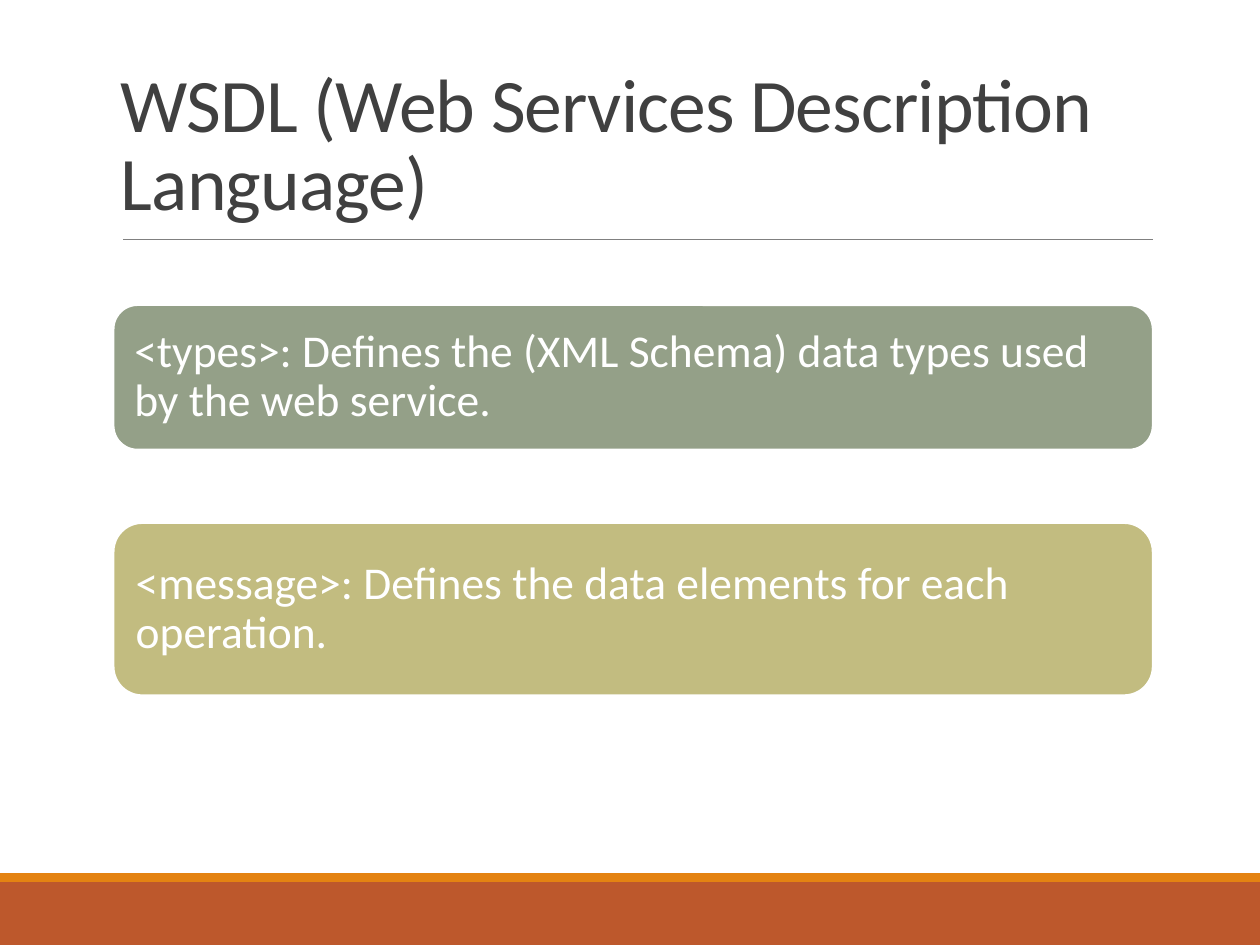
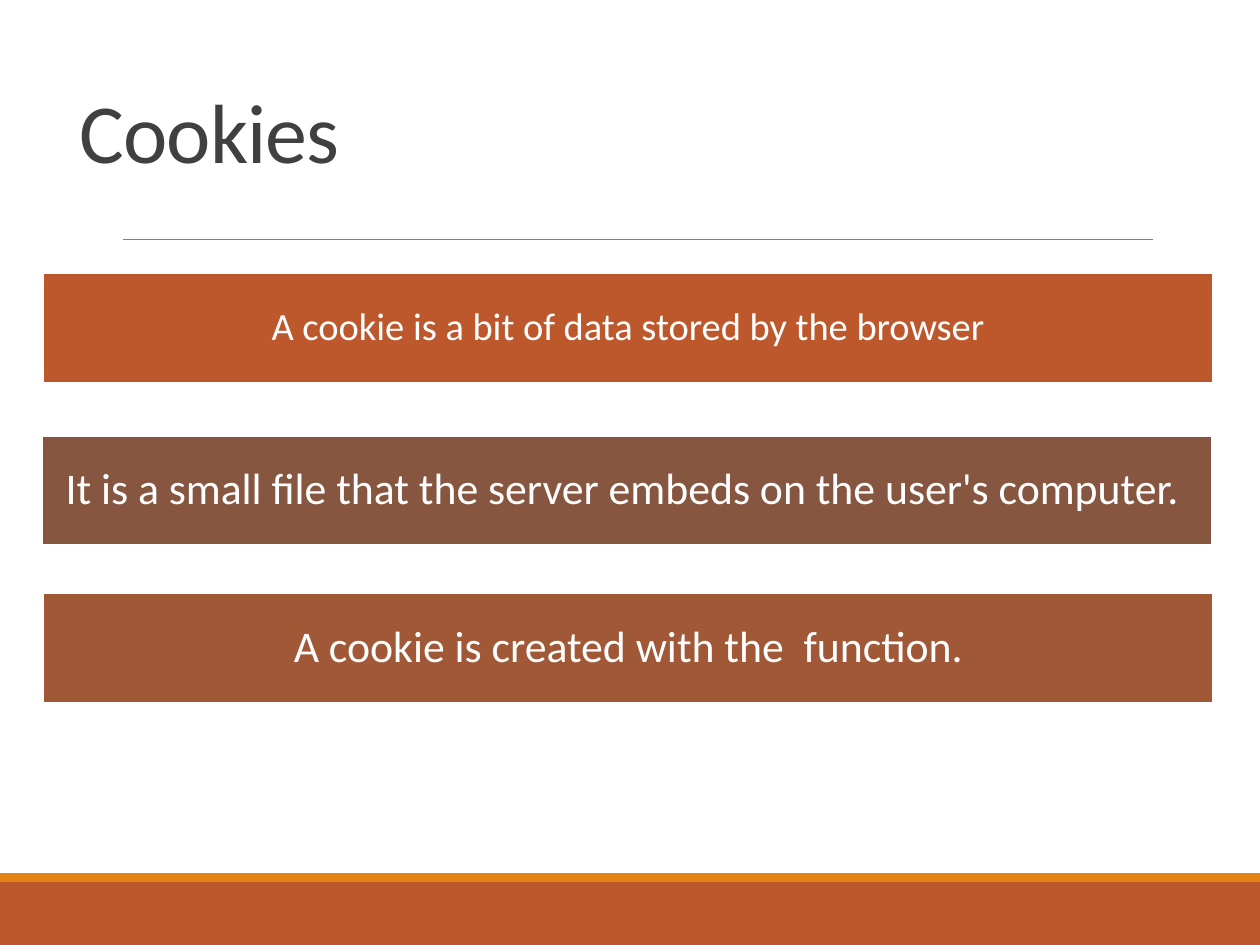
from dataclasses import dataclass

from lxml import etree
from pptx import Presentation
from pptx.dml.color import RGBColor
from pptx.enum.shapes import MSO_CONNECTOR, MSO_SHAPE
from pptx.enum.text import MSO_ANCHOR, MSO_AUTO_SIZE, PP_ALIGN
from pptx.oxml.ns import qn
from pptx.util import Inches, Pt

RECTANGLE, ROUNDED = MSO_SHAPE.RECTANGLE, MSO_SHAPE.ROUNDED_RECTANGLE
STRAIGHT = MSO_CONNECTOR.STRAIGHT
TOP, MIDDLE, BOTTOM = MSO_ANCHOR.TOP, MSO_ANCHOR.MIDDLE, MSO_ANCHOR.BOTTOM
LEFT, CENTER = PP_ALIGN.LEFT, PP_ALIGN.CENTER
NO_AUTOFIT = MSO_AUTO_SIZE.NONE

FONT = "Calibri"
WHITE, CHARCOAL, GREY = "FFFFFF", "404040", "808080"
RUST, ORANGE, SAGE, OLIVE = "BD582C", "E48312", "94A088", "C2BC80"
BROWN, SIENNA = "865640", "A05837"
TITLE_ONLY = 5


@dataclass(frozen=True)
class Box:
    left: float
    top: float
    width: float
    height: float

    def lengths(self) -> tuple:
        return tuple(Inches(v) for v in (self.left, self.top, self.width, self.height))


@dataclass(frozen=True)
class Title:
    text: str
    box: Box
    size: float
    anchor: MSO_ANCHOR


@dataclass(frozen=True)
class CardStyle:
    outline: MSO_SHAPE
    align: PP_ALIGN


@dataclass(frozen=True)
class Card:
    text: str
    box: Box
    color: str
    size: float
    inset: float


@dataclass(frozen=True)
class Topic:
    title: Title
    style: CardStyle
    cards: tuple


FOOTER_BANDS = ((Box(0, 7, 10, 0.5), RUST), (Box(0, 6.93, 10, 0.07), ORANGE))

TOPICS = (
    Topic(
        Title("WSDL (Web Services Description Language)", Box(0.86, 0.42, 8.25, 1.42), 43.2, BOTTOM),
        CardStyle(ROUNDED, LEFT),
        (
            Card("<types>: Defines the (XML Schema) data types used by the web service.",
                 Box(0.9, 2.42, 8.25, 1.15), SAGE, 26, 0.11),
            Card("<message>: Defines the data elements for each operation.",
                 Box(0.9, 4.15, 8.25, 1.37), OLIVE, 26, 0.11),
        ),
    ),
    Topic(
        Title("Cookies", Box(0.53, 0.7, 2.8, 5.72), 48, TOP),
        CardStyle(RECTANGLE, CENTER),
        (
            Card("A cookie is a bit of data stored by the browser",
                 Box(0.34, 2.17, 9.29, 0.87), RUST, 22, 0.09),
            Card("It is a small file that the server embeds on the user's computer. ",
                 Box(0.33, 3.46, 9.29, 0.87), BROWN, 25, 0.1),
            Card("A cookie is created with the  function.",
                 Box(0.34, 4.71, 9.29, 0.87), SIENNA, 25, 0.1),
        ),
    ),
)


def rgb(color: str) -> RGBColor:
    return RGBColor.from_string(color)


def add_block(slide, outline: MSO_SHAPE, box: Box, color: str):
    block = slide.shapes.add_shape(outline, *box.lengths())
    block.shadow.inherit = False
    block.fill.solid()
    block.fill.fore_color.rgb = rgb(color)
    block.line.fill.background()
    return block


def write(frame, text: str, size: float, color: str, align: PP_ALIGN, spacing: float):
    frame.word_wrap = True
    frame.auto_size = NO_AUTOFIT
    paragraph = frame.paragraphs[0]
    paragraph.text = text
    paragraph.alignment = align
    paragraph.line_spacing = spacing
    paragraph.font.name = FONT
    paragraph.font.size = Pt(size)
    paragraph.font.color.rgb = rgb(color)
    return paragraph


def add_frame(slide) -> None:
    for box, color in FOOTER_BANDS:
        add_block(slide, RECTANGLE, box, color)
    rule = slide.shapes.add_connector(STRAIGHT, Inches(0.98), Inches(1.9), Inches(9.15), Inches(1.9))
    rule.line.color.rgb = rgb(GREY)
    rule.line.width = Pt(0.5)
    etree.SubElement(rule._element.spPr, qn("a:effectLst"))


def set_title(slide, title: Title) -> None:
    heading = slide.shapes.title
    heading.left, heading.top, heading.width, heading.height = title.box.lengths()
    heading.text_frame.vertical_anchor = title.anchor
    paragraph = write(heading.text_frame, title.text, title.size, CHARCOAL, LEFT, 0.85)
    paragraph.runs[0]._r.get_or_add_rPr().set("spc", "-50")


def add_card(slide, card: Card, style: CardStyle) -> None:
    block = add_block(slide, style.outline, card.box, card.color)
    block.line.color.rgb = rgb(WHITE)
    block.line.width = Pt(1.25)
    frame = block.text_frame
    frame.margin_left = frame.margin_right = Inches(card.inset)
    frame.margin_top = frame.margin_bottom = Inches(card.inset)
    frame.vertical_anchor = MIDDLE
    write(frame, card.text, card.size, WHITE, style.align, 0.9)


def main() -> None:
    deck = Presentation()
    deck.slide_width, deck.slide_height = Inches(10), Inches(7.5)
    for topic in TOPICS:
        slide = deck.slides.add_slide(deck.slide_layouts[TITLE_ONLY])
        add_frame(slide)
        set_title(slide, topic.title)
        for card in topic.cards:
            add_card(slide, card, topic.style)
    deck.save("out.pptx")


if __name__ == "__main__":
    main()
